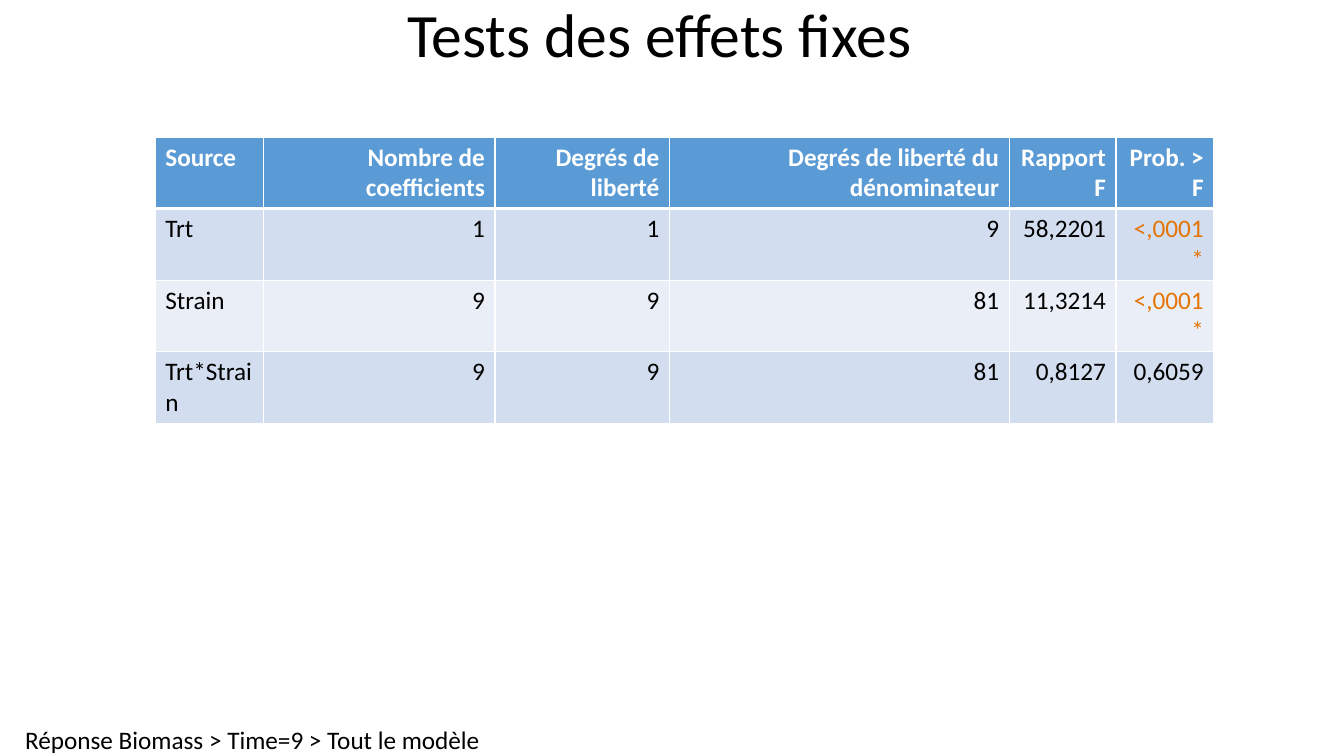
"""Build a slide with a table of fixed-effect tests."""
from dataclasses import dataclass

from lxml import etree
from pptx import Presentation
from pptx.dml.color import RGBColor
from pptx.enum import text
from pptx.oxml import ns
from pptx.util import Inches, Pt


@dataclass(frozen=True)
class Theme:
    """Colours, font and type sizes of the slide."""
    font: str = "Calibri"
    title_size: int = 44
    body_size: int = 18
    ink: str = "000000"
    white: str = "FFFFFF"
    header: str = "5B9BD5"
    bands: tuple = ("D2DEEF", "EAEFF7")
    significant: str = "E57406"


THEME = Theme()
COLUMN_WIDTHS = (1.07, 2.3, 1.73, 3.37, 1.06, 0.97)
ROW_HEIGHT = 0.71
EFFECTS = (
    ("Source", "Nombre de coefficients", "Degrés de liberté",
     "Degrés de liberté du dénominateur", "Rapport F", "Prob. > F"),
    ("Trt", "1", "1", "9", "58,2201", "<,0001*"),
    ("Strain", "9", "9", "81", "11,3214", "<,0001*"),
    ("Trt*Strain", "9", "9", "81", "0,8127", "0,6059"),
)


def write(para, words, size, color, bold=False, align=text.PP_ALIGN.LEFT):
    """Fill a paragraph with styled text."""
    para.text = words
    para.alignment = align
    para.font.name = THEME.font
    para.font.size = Pt(size)
    para.font.bold = bold
    para.font.color.rgb = RGBColor.from_string(color)


def add_title(page, words):
    """Add the centred title across the top."""
    box = page.shapes.add_textbox(0, 0, Inches(13.08), Inches(0.75))
    frame = box.text_frame
    frame.word_wrap = True
    frame.vertical_anchor = text.MSO_ANCHOR.MIDDLE
    para = frame.paragraphs[0]
    write(para, words, THEME.title_size, THEME.ink, align=text.PP_ALIGN.CENTER)
    para.line_spacing = 0.9


def add_footer(page, words):
    """Add the unwrapped line at the bottom left."""
    box = page.shapes.add_textbox(Inches(0.25), Inches(7.19), Inches(4.54), Inches(0.31))
    frame = box.text_frame
    frame.word_wrap = False
    frame.auto_size = text.MSO_AUTO_SIZE.SHAPE_TO_FIT_TEXT
    frame.margin_left = frame.margin_top = frame.margin_right = frame.margin_bottom = 0
    write(frame.paragraphs[0], words, THEME.body_size, THEME.ink)


def add_borders(cell, widths):
    """Draw white borders, with widths in points for each side."""
    properties = cell._tc.get_or_add_tcPr()
    for side, width in widths.items():
        line = etree.SubElement(properties, ns.qn(f"a:ln{side}"), w=str(Pt(width)))
        fill = etree.SubElement(line, ns.qn("a:solidFill"))
        etree.SubElement(fill, ns.qn("a:srgbClr"), val=THEME.white)


def style_cell(cell, words, row, column):
    """Write and colour one cell according to its place."""
    is_header = row == 0
    add_borders(cell, {"L": 1, "R": 1, "T": 3 if row == 1 else 1, "B": 3 if is_header else 1})
    cell.fill.solid()
    fill = THEME.header if is_header else THEME.bands[(row - 1) % 2]
    cell.fill.fore_color.rgb = RGBColor.from_string(fill)
    color = THEME.white if is_header else THEME.ink
    if words.endswith("*"):
        color = THEME.significant
    align = text.PP_ALIGN.RIGHT if column else text.PP_ALIGN.LEFT
    write(cell.text_frame.paragraphs[0], words, THEME.body_size, color, is_header, align)


def add_effects_table(page, rows):
    """Add the table of tests."""
    table = page.shapes.add_table(
        len(rows), len(COLUMN_WIDTHS), Inches(1.54), Inches(1.36),
        Inches(sum(COLUMN_WIDTHS)), Inches(ROW_HEIGHT * len(rows))).table
    for column, width in zip(table.columns, COLUMN_WIDTHS):
        column.width = Inches(width)
    for row, values in enumerate(rows):
        for column, words in enumerate(values):
            style_cell(table.cell(row, column), words, row, column)


def main():
    """Build and save the deck."""
    deck = Presentation()
    deck.slide_width, deck.slide_height = Inches(13.33), Inches(7.5)
    page = deck.slides.add_slide(deck.slide_layouts[6])
    add_footer(page, "Réponse Biomass > Time=9 > Tout le modèle")
    add_title(page, "Tests des effets fixes")
    add_effects_table(page, EFFECTS)
    deck.save("out.pptx")


if __name__ == "__main__":
    main()
